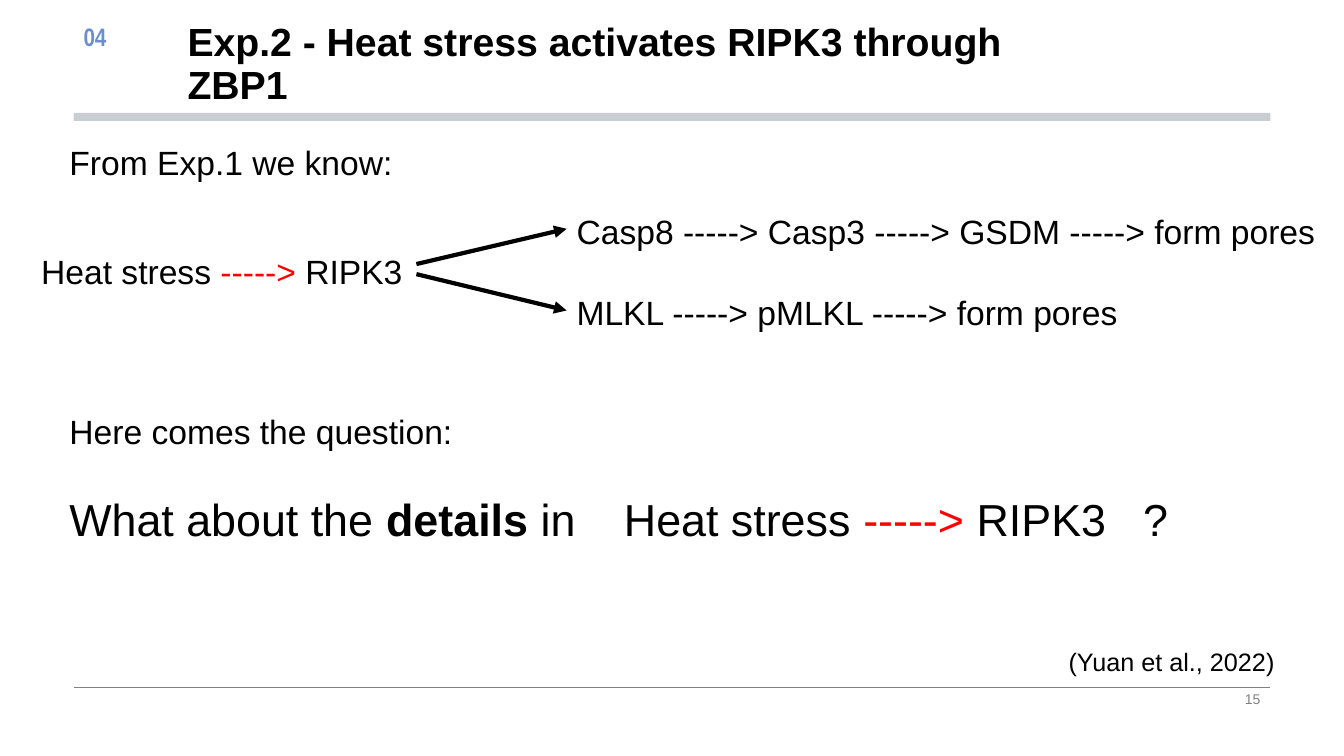
from lxml.etree import SubElement
from pptx import Presentation
from pptx.dml.color import RGBColor
from pptx.enum.shapes import MSO_CONNECTOR as CONN, MSO_SHAPE as SHAPE
from pptx.enum.text import MSO_ANCHOR as ANCHOR, MSO_AUTO_SIZE as FIT, PP_ALIGN as ALIGN
from pptx.oxml.ns import qn
from pptx.util import Inches, Pt

COLORS = {
    "text": "000000",
    "accent": "FF0000",
    "number": "698FCE",
    "bar": "C9CED5",
    "muted": "808080",
}
ARROW = "----->"


def rgb(name):
    return RGBColor.from_string(COLORS[name])


def add_run(p, text, size=24, color="text", bold=False, font="Arial"):
    r = p.add_run()
    r.text = text
    r.font.size = Pt(size)
    r.font.name = font
    r.font.bold = bold
    r.font.color.rgb = rgb(color)


class Deck:
    def __init__(self):
        self.prs = Presentation()
        self.prs.slide_width = Inches(13.33)
        self.prs.slide_height = Inches(7.5)
        self.s = self.prs.slides.add_slide(self.prs.slide_layouts[5])

    def title(self, text, box):
        sp = self.s.shapes.title
        sp.left, sp.top, sp.width, sp.height = map(Inches, box)
        tf = sp.text_frame
        tf.auto_size = FIT.NONE
        tf.vertical_anchor = ANCHOR.BOTTOM
        p = tf.paragraphs[0]
        p.alignment = ALIGN.LEFT
        p.line_spacing = 0.9
        add_run(p, text, size=28, bold=True)

    def text(self, box, paragraphs, gap=0, align=ALIGN.LEFT,
             anchor=ANCHOR.TOP, wrap=True, **style):
        tf = self.s.shapes.add_textbox(*map(Inches, box)).text_frame
        tf.word_wrap = wrap
        tf.vertical_anchor = anchor
        for i, runs in enumerate(paragraphs):
            p = tf.add_paragraph() if i else tf.paragraphs[0]
            p.alignment = align
            p.space_before = Pt(gap if i else 0)
            for text, extra in runs:
                add_run(p, text, **{**style, **extra})
        return tf

    def tabs(self, p, stops):
        tab_list = SubElement(p._p.get_or_add_pPr(), qn("a:tabLst"))
        for stop in stops:
            SubElement(tab_list, qn("a:tab"), pos=str(Inches(stop)), algn="l")

    def bar(self, box, color):
        sp = self.s.shapes.add_shape(SHAPE.RECTANGLE, *map(Inches, box))
        sp.shadow.inherit = False
        sp.fill.solid()
        sp.fill.fore_color.rgb = rgb(color)
        sp.line.fill.background()

    def line(self, start, end, color="text", width=3, arrow=False):
        c = self.s.shapes.add_connector(CONN.STRAIGHT, *map(Inches, start + end))
        c.line.color.rgb = rgb(color)
        c.line.width = Pt(width)
        if arrow:
            SubElement(c.line._get_or_add_ln(), qn("a:tailEnd"), type="triangle")
        SubElement(c._element.spPr, qn("a:effectLst"))


def main():
    deck = Deck()
    red = {"color": "accent"}

    deck.line((0.73, 6.82), (12.6, 6.82), color="muted", width=0.5)
    deck.bar((0.73, 1.12, 11.87, 0.08), "bar")
    deck.title("Exp.2 - Heat stress activates RIPK3 through ZBP1",
               (1.76, 0.16, 8.44, 0.96))
    deck.text((9.42, 6.82, 3.18, 0.23), [[("15", {})]], size=10, color="muted",
              align=ALIGN.RIGHT, anchor=ANCHOR.MIDDLE)
    deck.text((0.73, 0.16, 0.79, 0.87), [[("04", {})]], size=18, color="number",
              bold=True, font="Arial Narrow", wrap=False)
    deck.text((10.5, 6.36, 2.39, 0.4), [[("(Yuan et al., 2022)", {})]], size=18)

    deck.text((0.59, 1.36, 5.91, 0.5), [[("From Exp.1 we know:", {})]])
    deck.text((0.31, 2.44, 3.98, 0.5),
              [[("Heat stress ", {}), (ARROW, red), (" RIPK3", {})]])
    pathways = [
        ["Casp8", "Casp3", "GSDM", "form pores"],
        ["MLKL", "pMLKL", "form pores"],
    ]
    deck.text((5.62, 2.04, 7.6, 1.31),
              [[(f" {ARROW} ".join(steps), {})] for steps in pathways], gap=29)
    for start_y, end_y in ((2.62, 2.27), (2.72, 3.08)):
        deck.line((4.13, start_y), (5.62, end_y), arrow=True)

    big = {"size": 32}
    question = [
        ("What about the ", big),
        ("details", {**big, "bold": True}),
        (" in\tHeat stress ", big),
        (ARROW, {**big, **red}),
        (" RIPK3\t?", big),
    ]
    tf = deck.text((0.59, 4.03, 11.9, 1.45),
                   [[("Here comes the question:", {})], question], gap=29)
    deck.tabs(tf.paragraphs[1], (5.5, 10.65))

    deck.prs.save("out.pptx")


if __name__ == "__main__":
    main()
